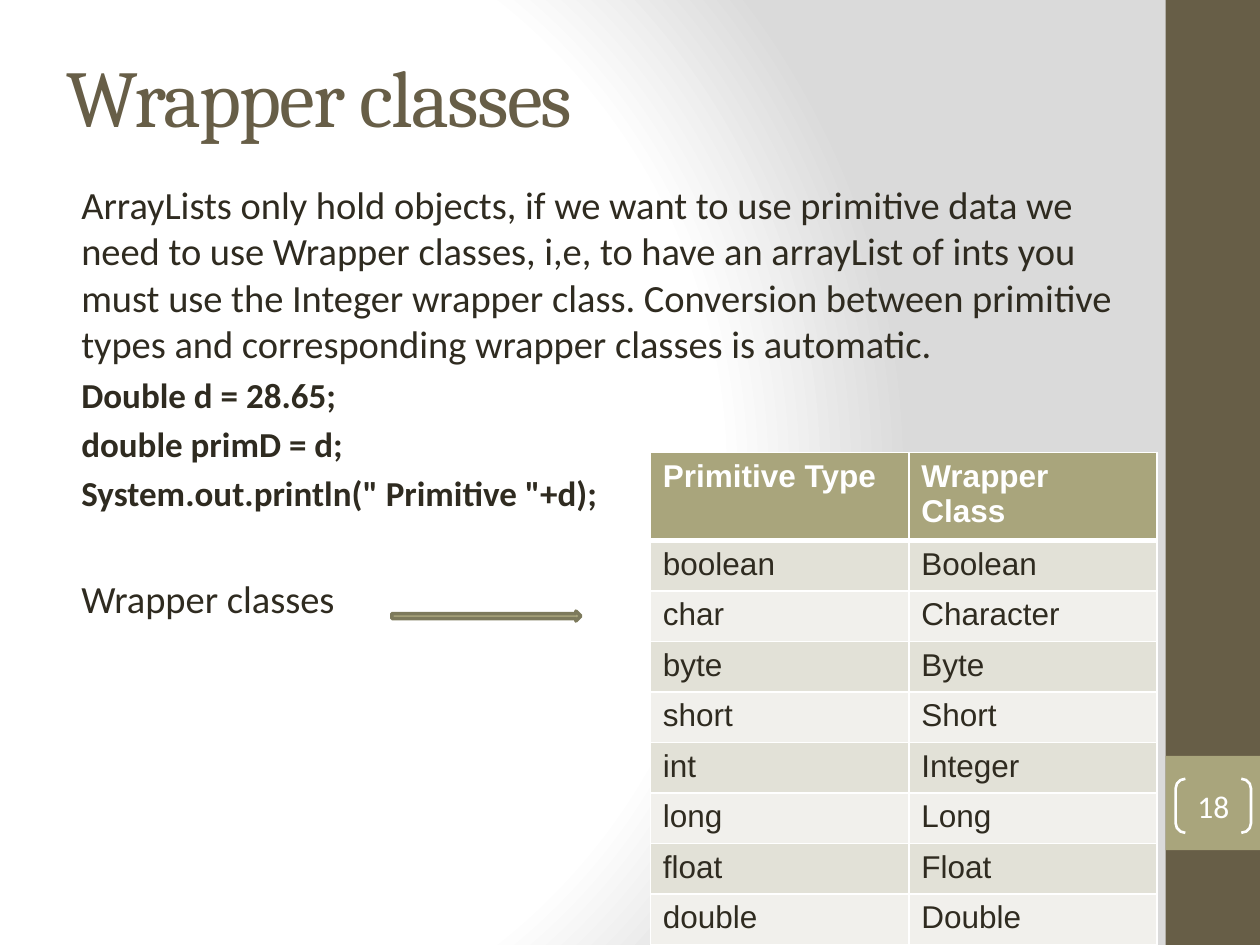
"""Build the slide on Java wrapper classes."""
from pptx import Presentation
from pptx.dml.color import RGBColor
from pptx.enum.shapes import MSO_SHAPE as Preset
from pptx.enum.text import MSO_ANCHOR as Anchor, MSO_AUTO_SIZE as AutoSize, PP_ALIGN as Align
from pptx.oxml import parse_xml
from pptx.oxml.ns import nsdecls, qn
from pptx.util import Cm, Pt

INK, BROWN, OLIVE, WHITE = "2F2B20", "675E47", "A9A57C", "FFFFFF"
OLIVE_EDGE, BANDS = "7D7A5C", ("E2E1D7", "F1F0EC")


def color(code):
    return RGBColor.from_string(code)


def box(left, top, width, height):
    return Cm(left), Cm(top), Cm(width), Cm(height)


class Deck:
    def __init__(self):
        self.show = Presentation()
        self.show.slide_width, self.show.slide_height = Cm(25.4), Cm(19.05)
        self.slide = self.show.slides.add_slide(self.show.slide_layouts[5])

    def background(self, stops):
        marks = "".join(
            f'<a:gs pos="{place * 1000}"><a:srgbClr val="{code}"/></a:gs>' for place, code in stops
        )
        backdrop = parse_xml(
            f'<p:bg {nsdecls("p", "a")}><p:bgPr><a:gradFill rotWithShape="1"><a:gsLst>{marks}</a:gsLst>'
            '<a:path path="circle"><a:fillToRect l="20000" t="50000" r="100000" b="50000"/></a:path>'
            "</a:gradFill><a:effectLst/></p:bgPr></p:bg>"
        )
        self.slide._element.find(qn("p:cSld")).insert(0, backdrop)

    def run(self, paragraph, words, size, code, font="Calibri", bold=False):
        run = paragraph.add_run()
        run.text = words
        run.font.size, run.font.name, run.font.bold = Pt(size), font, bold
        run.font.color.rgb = color(code)
        return run

    def title(self, words, place):
        heading = self.slide.shapes.title
        heading.left, heading.top, heading.width, heading.height = box(*place)
        frame = heading.text_frame
        frame.auto_size, frame.vertical_anchor = AutoSize.NONE, Anchor.MIDDLE
        frame.paragraphs[0].alignment = Align.LEFT
        run = self.run(frame.paragraphs[0], words, 46, BROWN, "Cambria")
        run.font._element.set("spc", "-100")

    def body(self, place, paragraphs):
        frame = self.slide.shapes.add_textbox(*box(*place)).text_frame
        frame.word_wrap = True
        for index, (words, size, bold, gap) in enumerate(paragraphs):
            paragraph = frame.add_paragraph() if index else frame.paragraphs[0]
            paragraph.space_before = Pt(gap)
            paragraph._p.get_or_add_pPr().set("marL", str(Cm(0.3)))
            self.run(paragraph, words, size, INK, bold=bold)

    def shape(self, preset, place, fill=None, line=None, weight=1):
        shape = self.slide.shapes.add_shape(preset, *box(*place))
        shape.shadow.inherit = False
        if fill:
            shape.fill.solid()
            shape.fill.fore_color.rgb = color(fill)
        else:
            shape.fill.background()
        if line:
            shape.line.color.rgb, shape.line.width = color(line), Pt(weight)
        else:
            shape.line.fill.background()
        return shape

    def page_number(self, number, place):
        brackets = self.shape(Preset.DOUBLE_BRACKET, place, line=WHITE, weight=1.5)
        brackets.adjustments[0] = 0.18
        frame = brackets.text_frame
        frame.margin_left = frame.margin_right = frame.margin_top = frame.margin_bottom = 0
        frame.vertical_anchor = Anchor.MIDDLE
        frame.paragraphs[0].alignment = Align.CENTER
        self.run(frame.paragraphs[0], number, 18, WHITE)

    def border(self, cell, row):
        weights = {"L": 1, "R": 1, "T": 3 if row == 1 else 1, "B": 1 if row else 3}
        for side, weight in weights.items():
            cell._tc.get_or_add_tcPr().append(parse_xml(
                f'<a:ln{side} {nsdecls("a")} w="{Pt(weight)}"><a:solidFill>'
                f'<a:srgbClr val="{WHITE}"/></a:solidFill></a:ln{side}>'
            ))

    def table(self, rows, place, widths, header_height, row_height):
        grid = self.slide.shapes.add_table(len(rows), len(widths), *box(*place)).table
        for column, width in zip(grid.columns, widths):
            column.width = Cm(width)
        for index, entries in enumerate(rows):
            header = index == 0
            grid.rows[index].height = Cm(header_height if header else row_height)
            for column, words in enumerate(entries):
                cell = grid.cell(index, column)
                self.border(cell, index)
                cell.fill.solid()
                cell.fill.fore_color.rgb = color(OLIVE if header else BANDS[(index - 1) % 2])
                self.run(cell.text_frame.paragraphs[0], words, 18,
                         WHITE if header else INK, "Arial", header)


def main():
    deck = Deck()
    deck.background([(0, WHITE), (75, WHITE), (100, "DADADA")])
    deck.shape(Preset.RECTANGLE, (23.5, 0, 1.9, 19.05), BROWN)
    deck.shape(Preset.RECTANGLE, (23.5, 15.24, 1.9, 1.9), OLIVE)
    deck.title("Wrapper classes", (1.09, 0.33, 21.16, 3.18))
    deck.body((1.09, 3.53, 22.2, 15.52), [
        ("ArrayLists only hold objects, if we want to use primitive data we need to use "
         "Wrapper classes, i,e, to have an arrayList of ints you must use the Integer wrapper "
         "class. Conversion between primitive types and corresponding wrapper classes is "
         "automatic.", 22, False, 4.4),
        ("Double d = 28.65;", 20, True, 4),
        ("double primD = d;", 20, True, 4),
        ('System.out.println(" Primitive "+d);', 20, True, 4),
        ("Wrapper classes", 22, False, 35.6),
    ])
    deck.page_number("18", (23.7, 15.7, 1.52, 1.09))
    wrappers = [
        ("Primitive Type", "Wrapper  Class"),
        ("boolean", "Boolean"),
        ("char", "Character"),
        ("byte", "Byte"),
        ("short", "Short"),
        ("int", "Integer"),
        ("long", "Long"),
        ("float", "Float"),
        ("double", "Double"),
    ]
    deck.table(wrappers, (13.11, 9.12, 10.21, 9.42), (5.21, 5), 1.68, 0.97)
    deck.shape(Preset.RIGHT_ARROW, (7.9, 12.32, 3.81, 0.2), OLIVE, OLIVE_EDGE, 2)
    deck.show.save("out.pptx")


if __name__ == "__main__":
    main()
